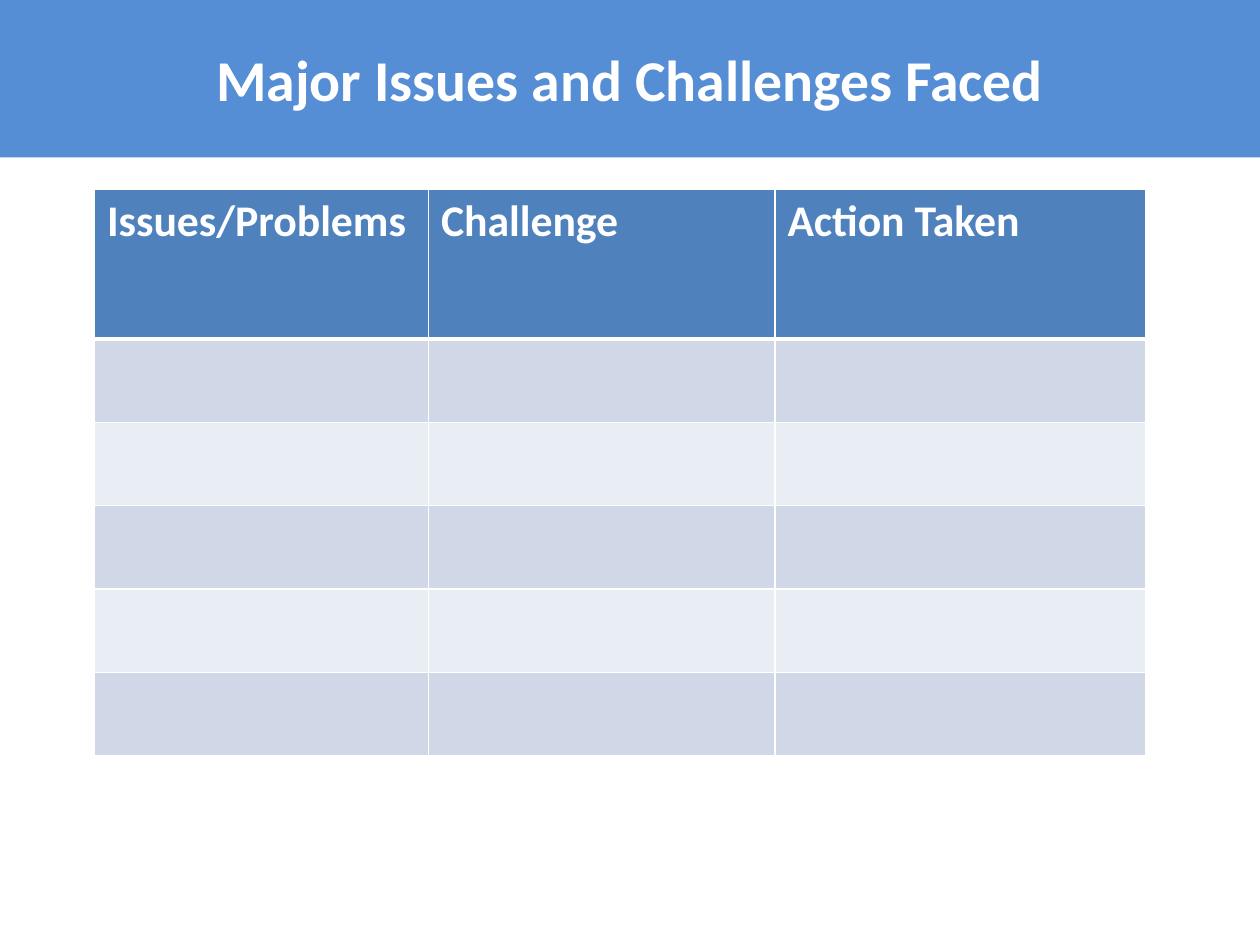
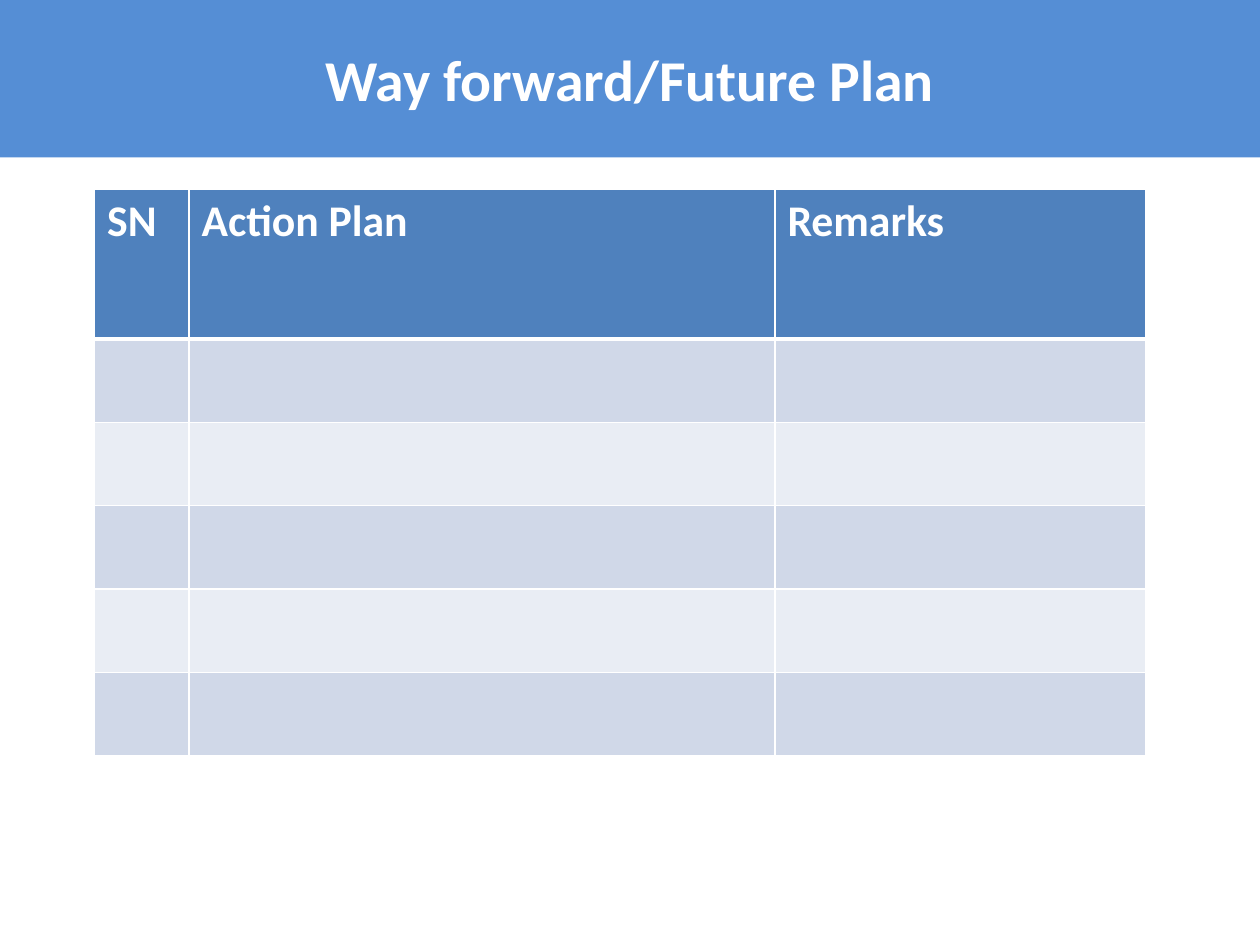
from dataclasses import dataclass

from lxml.etree import SubElement
from pptx import Presentation
from pptx.dml.color import RGBColor
from pptx.enum.shapes import MSO_SHAPE
from pptx.enum.text import MSO_ANCHOR, PP_ALIGN
from pptx.oxml.ns import qn
from pptx.slide import Slide
from pptx.table import _Cell
from pptx.text.text import _Paragraph
from pptx.util import Inches, Pt

SLIDE_WIDTH = Inches(10)
SLIDE_HEIGHT = Inches(7.5)
BAND_HEIGHT = SLIDE_HEIGHT // 6
TABLE_LEFT = int(SLIDE_WIDTH * 0.075)
TABLE_TOP = SLIDE_HEIGHT // 5
TABLE_HEIGHT = int(SLIDE_HEIGHT * 0.6)
HEADER_HEIGHT = Inches(1.19)
BODY_ROWS = 5
BODY_HEIGHT = (TABLE_HEIGHT - HEADER_HEIGHT) // BODY_ROWS

BAND_BLUE = RGBColor(0x55, 0x8E, 0xD5)
HEADER_BLUE = RGBColor(0x4F, 0x81, 0xBD)
ROW_TINTS = (RGBColor(0xD0, 0xD8, 0xE8), RGBColor(0xE9, 0xED, 0xF4))
WHITE = RGBColor(0xFF, 0xFF, 0xFF)
FONT = "Calibri"
TITLE_SIZE = 33
HEADING_SIZE = 25
THIN_RULE = 1
HEADER_RULE = 3


@dataclass(frozen=True)
class Column:
    heading: str
    width: float


@dataclass(frozen=True)
class Report:
    title: str
    columns: tuple[Column, ...]


REPORTS = (
    Report(
        "Major Issues and Challenges Faced",
        (
            Column("Issues/Problems", 2.65),
            Column("Challenge", 2.75),
            Column("Action Taken", 2.94),
        ),
    ),
    Report(
        "Way forward/Future Plan",
        (
            Column("SN", 0.75),
            Column("Action Plan", 4.65),
            Column("Remarks", 2.94),
        ),
    ),
)


def write_bold(paragraph: _Paragraph, wording: str, size: int) -> None:
    paragraph.text = wording
    paragraph.font.name = FONT
    paragraph.font.size = Pt(size)
    paragraph.font.bold = True
    paragraph.font.color.rgb = WHITE


def style_cell(cell: _Cell, tint: RGBColor, top: int, bottom: int) -> None:
    properties = cell._tc.get_or_add_tcPr()
    rules = {"a:lnL": THIN_RULE, "a:lnR": THIN_RULE, "a:lnT": top, "a:lnB": bottom}
    for side, weight in rules.items():
        rule = SubElement(properties, qn(side), w=str(Pt(weight)))
        ink = SubElement(rule, qn("a:solidFill"))
        SubElement(ink, qn("a:srgbClr"), val=str(WHITE))
    cell.fill.solid()
    cell.fill.fore_color.rgb = tint


def draw_title_band(slide: Slide, title: str) -> None:
    band = slide.shapes.add_shape(
        MSO_SHAPE.RECTANGLE, 0, 0, SLIDE_WIDTH, BAND_HEIGHT
    )
    band.shadow.inherit = False
    band.fill.solid()
    band.fill.fore_color.rgb = BAND_BLUE
    band.line.fill.background()
    frame = band.text_frame
    frame.word_wrap = True
    frame.vertical_anchor = MSO_ANCHOR.MIDDLE
    heading = frame.paragraphs[0]
    heading.alignment = PP_ALIGN.CENTER
    write_bold(heading, title, TITLE_SIZE)


def draw_report_table(slide: Slide, columns: tuple[Column, ...]) -> None:
    table_width = Inches(sum(column.width for column in columns))
    table = slide.shapes.add_table(
        BODY_ROWS + 1, len(columns), TABLE_LEFT, TABLE_TOP, table_width, TABLE_HEIGHT
    ).table
    table.rows[0].height = HEADER_HEIGHT
    for row in range(1, BODY_ROWS + 1):
        table.rows[row].height = BODY_HEIGHT

    for index, column in enumerate(columns):
        table.columns[index].width = Inches(column.width)
        header = table.cell(0, index)
        write_bold(header.text_frame.paragraphs[0], column.heading, HEADING_SIZE)
        style_cell(header, HEADER_BLUE, THIN_RULE, HEADER_RULE)
        for row in range(1, BODY_ROWS + 1):
            top = HEADER_RULE if row == 1 else THIN_RULE
            tint = ROW_TINTS[(row - 1) % len(ROW_TINTS)]
            style_cell(table.cell(row, index), tint, top, THIN_RULE)


def main() -> None:
    deck = Presentation()
    deck.slide_width = SLIDE_WIDTH
    deck.slide_height = SLIDE_HEIGHT
    blank = deck.slide_layouts[6]
    for report in REPORTS:
        slide = deck.slides.add_slide(blank)
        draw_title_band(slide, report.title)
        draw_report_table(slide, report.columns)
    deck.save("out.pptx")


if __name__ == "__main__":
    main()
